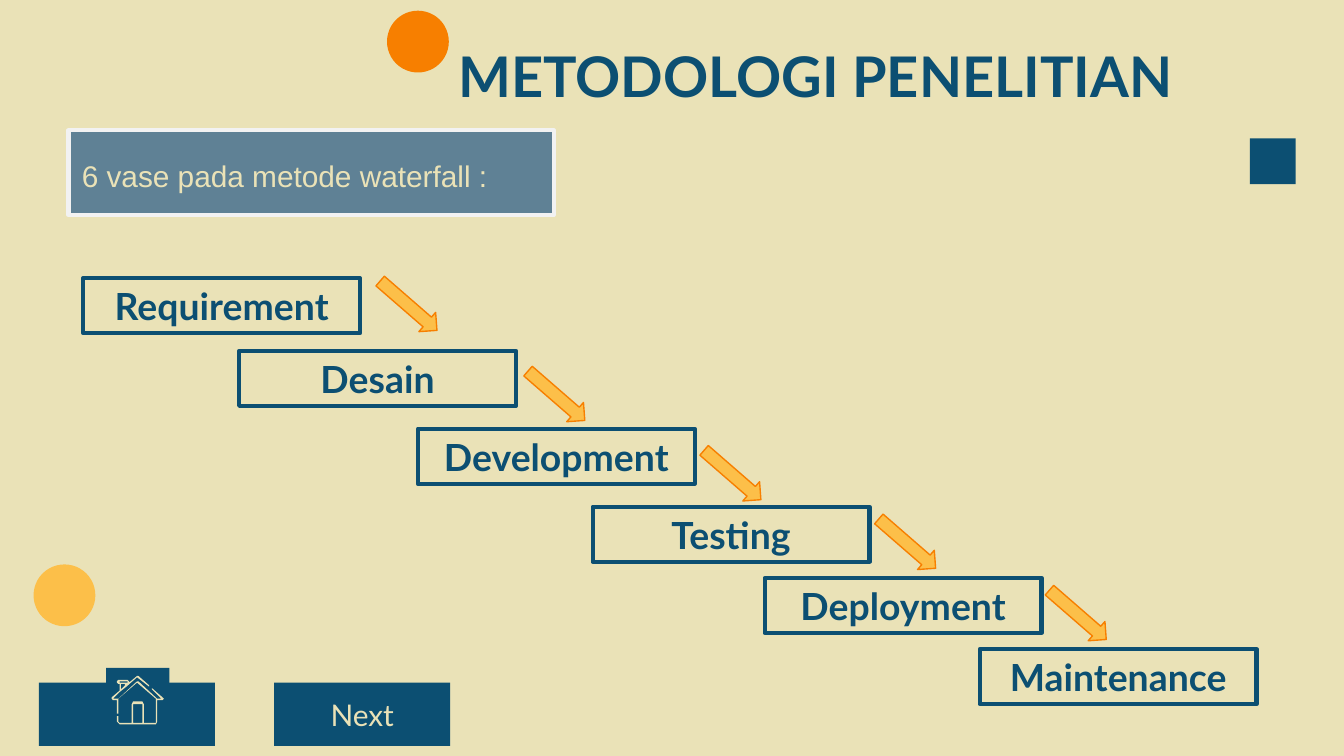
"""Builds the waterfall method slide on a grid of tenth-inch cells."""
from pptx import Presentation
from pptx.dml.color import RGBColor
from pptx.enum.shapes import MSO_SHAPE
from pptx.enum.text import MSO_ANCHOR, MSO_AUTO_SIZE, PP_ALIGN
from pptx.util import Inches, Pt

tone = RGBColor.from_string
CELL = Inches(0.1)
NAVY, SAND, GOLD, FIRE = "0C4F72", "EAE2B7", "FCBF49", "F77F00"
RECT, OVAL = MSO_SHAPE.RECTANGLE, MSO_SHAPE.OVAL


def draw(kind, x, y, wide, high, fill=None, edge=None, width=2.25):
    """Add a preset shape placed in grid cells."""
    shape = slide.shapes.add_shape(kind, *(int(n * CELL) for n in (x, y, wide, high)))
    shape.shadow.inherit = False
    for part, hue in ((shape.fill, fill), (shape.line.fill, edge)):
        if hue:
            part.solid()
            part.fore_color.rgb = tone(hue)
        else:
            part.background()
    if edge:
        shape.line.width = Pt(width)
    return shape


def write(shape, text, size, hue, face="Lato", bold=False, align=PP_ALIGN.CENTER,
          anchor=MSO_ANCHOR.MIDDLE, space=1.0):
    """Fill a shape with one formatted paragraph."""
    frame = shape.text_frame
    frame.text = text
    para = frame.paragraphs[0]
    look = {
        frame: {"word_wrap": True, "auto_size": MSO_AUTO_SIZE.NONE, "vertical_anchor": anchor,
                "margin_left": CELL, "margin_right": CELL,
                "margin_top": CELL, "margin_bottom": CELL},
        para: {"alignment": align, "line_spacing": space},
        para.runs[0].font: {"size": Pt(size), "name": face, "bold": bold},
    }
    for item, values in look.items():
        for name, value in values.items():
            setattr(item, name, value)
    para.runs[0].font.color.rgb = tone(hue)


deck = Presentation()
deck.slide_width = 100 * CELL
deck.slide_height = deck.slide_width * 9 // 16
slide = deck.slides.add_slide(deck.slide_layouts[5])
slide.background.fill.solid()
slide.background.fill.fore_color.rgb = tone(SAND)

for kind, x, y, wide, high, hue in (
    (RECT, 93, 10.3, 3.4, 3.4, NAVY),
    (OVAL, 28.8, 0.8, 4.6, 4.6, FIRE),
    (OVAL, 2.5, 42, 4.6, 4.6, GOLD),
    (RECT, 2.9, 50.8, 13.1, 4.7, NAVY),
    (RECT, 7.9, 49.7, 4.7, 4.7, NAVY),
):
    draw(kind, x, y, wide, high, hue)

house = (
    ((95, 507), (95, 508), (89, 508), (89, 507)),
    ((93, 509), (93, 510), (90, 513), (90, 509)),
    ((106, 524), (106, 538), (99, 538), (99, 524)),
    ((102, 503), (96, 508), (96, 507), (95, 506), (88, 506), (87, 507), (87, 508), (88, 509),
     (89, 509), (89, 514), (83, 519), (83, 520), (84, 521), (87, 521), (87, 531), (88, 531),
     (88, 520), (102, 508), (116, 520), (116, 538), (107, 538), (107, 524), (106, 522),
     (99, 522), (98, 524), (98, 538), (89, 538), (88, 537), (88, 533), (87, 533), (87, 537),
     (89, 539), (116, 539), (117, 537), (117, 521), (121, 521), (122, 520), (121, 519),
     (113, 512), (113, 513), (120, 520), (117, 520), (103, 507), (102, 507), (88, 520),
     (84, 520), (89, 515), (94, 511), (102, 504), (111, 511), (111, 510), (103, 503)),
)
pen = slide.shapes.build_freeform(*house[0][0], scale=CELL / 10)
for ring in house:
    pen.move_to(*ring[0])
    pen.add_line_segments(ring[1:])
icon = pen.convert_to_shape()
icon.shadow.inherit = False
icon.fill.solid()
icon.fill.fore_color.rgb = tone(SAND)
icon.line.fill.background()

write(draw(RECT, 20.4, 50.8, 13.1, 4.7, NAVY), "Next", 16, SAND)

title = slide.shapes.title
spot = {"left": 33.1, "top": 2.1, "width": 60.4, "height": 6.3}
for name, value in spot.items():
    setattr(title, name, int(value * CELL))
write(title, "METODOLOGI PENELITIAN", 30, NAVY, bold=True,
      align=PP_ALIGN.LEFT, anchor=MSO_ANCHOR.TOP)

write(draw(RECT, 5.1, 9.7, 36.1, 6.3, "5F8195", "F2F2F2"), "6 vase pada metode waterfall :",
      16, SAND, face="Arial", align=PP_ALIGN.LEFT, space=1.15)

for step, x, y in (
    ("Requirement", 6.2, 20.7), ("Desain", 17.8, 26.1), ("Development", 31.1, 31.9),
    ("Testing", 44.1, 37.7), ("Deployment", 56.9, 43), ("Maintenance", 72.9, 48.3),
):
    write(draw(RECT, x, y, 20.6, 4.1, edge=NAVY), step, 20, NAVY, bold=True)

for x, y in ((27.6, 21.8), (38.6, 28.5), (51.7, 34.4), (64.7, 39.5), (77.4, 44.8)):
    draw(MSO_SHAPE.RIGHT_ARROW, x, y, 5.6, 1.9, GOLD, FIRE, 0.75).rotation = 41

deck.save("out.pptx")
